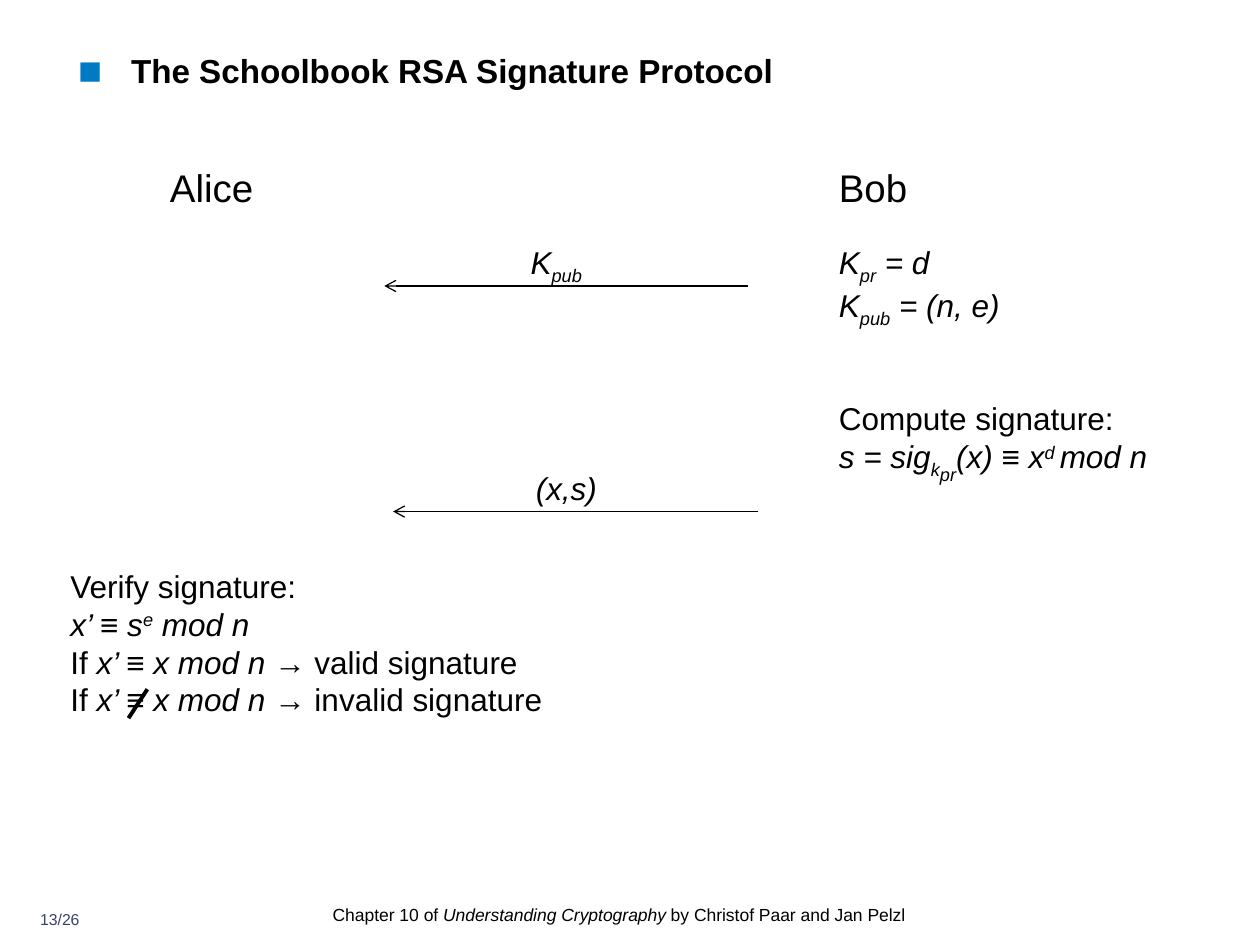
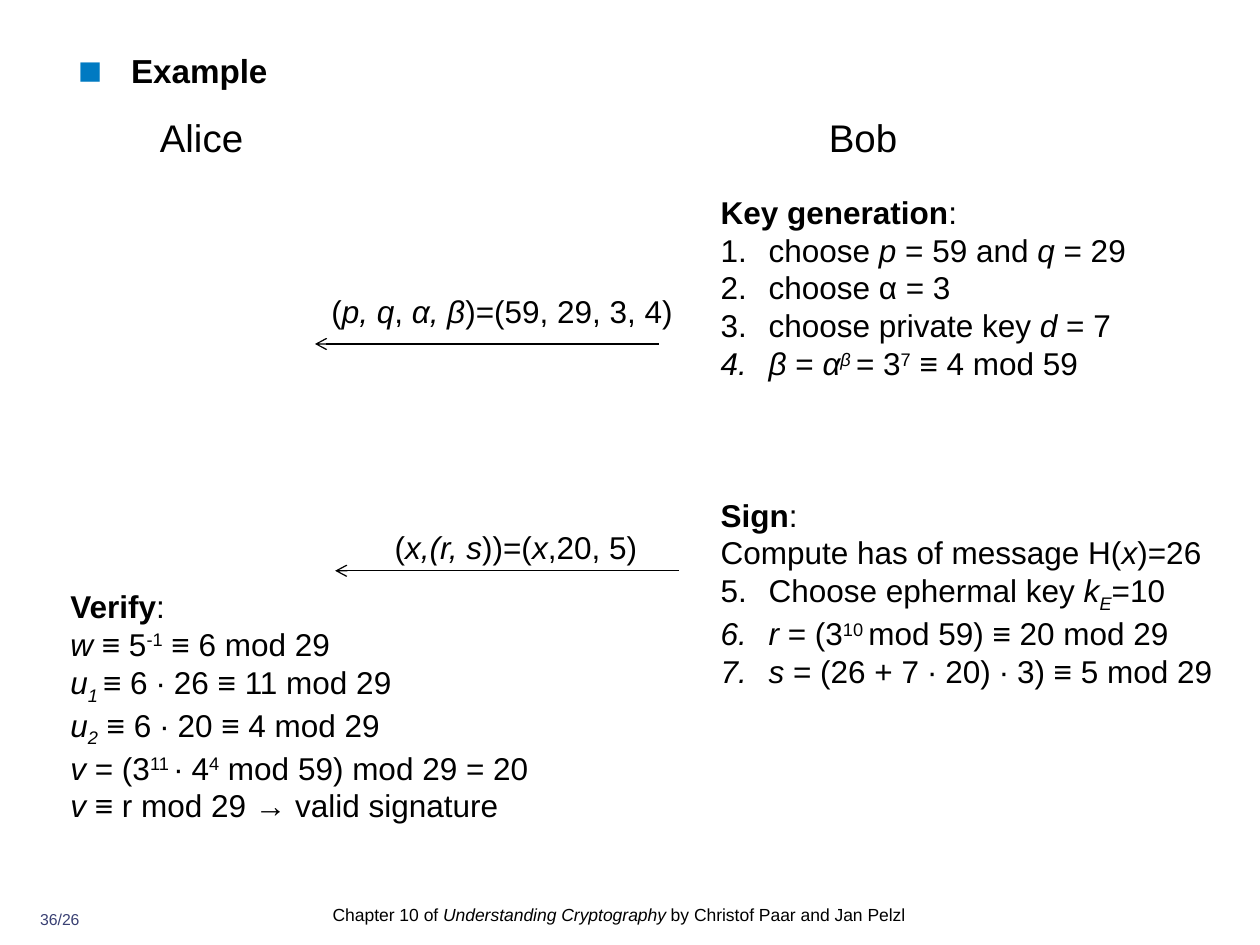
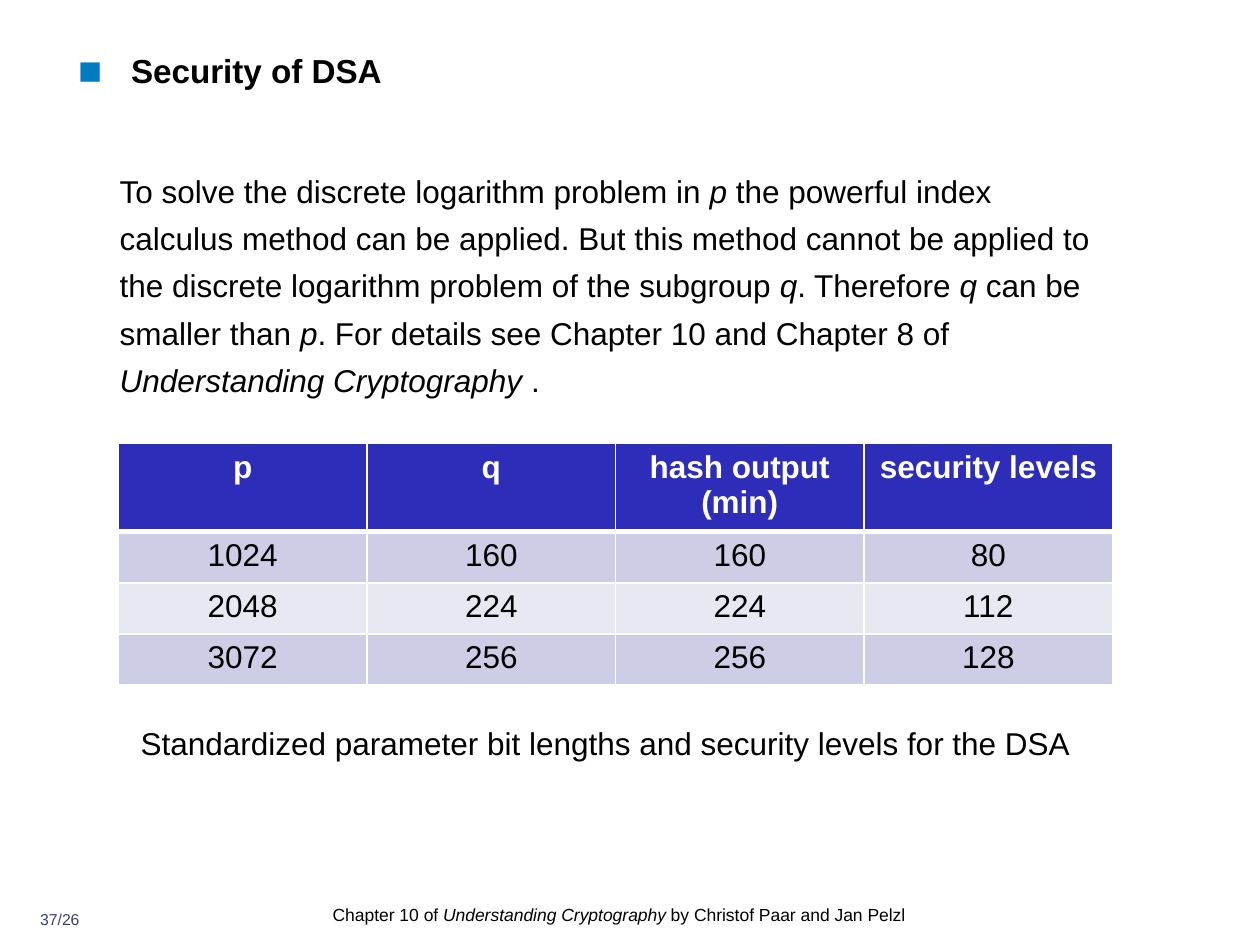
"""Build three slides on RSA and DSA signatures."""
from collections import namedtuple

from lxml.etree import SubElement
from pptx import Presentation
from pptx.dml.color import RGBColor
from pptx.enum.shapes import MSO_CONNECTOR as Connector
from pptx.enum.text import MSO_ANCHOR as Anchor, MSO_AUTO_SIZE as AutoSize, PP_ALIGN as Align
from pptx.oxml.ns import qn
from pptx.util import Inches, Pt

FONT = "Arial"
BLACK, WHITE, ACCENT, PAGE_NUMBER = "000000", "FFFFFF", "007AC2", "394073"
HEADER_FILL, BAND_FILLS = "2D2DB9", ("CDCDE6", "E8E8F3")
BODY, NAME, HEADING, FOOTER, NUMBER = 18, 22, 19, 10, 9
TITLE_ONLY, TITLE_AND_BODY = 5, 1
SUB, SUBSUB, SUP = -25, -40, 30

Span = namedtuple("Span", "text bold italic shift", defaults=(False, False, 0))


def bold(text):
    return Span(text, bold=True)


def it(text, shift=0):
    return Span(text, italic=True, shift=shift)


def sup(text):
    return Span(text, shift=SUP)


def colour(value):
    return RGBColor.from_string(value)


def grid(*units):
    return [Inches(unit / 10) for unit in units]


class Deck:
    """Hold the style and current slide; lengths are grid units of a 100 by 75 page."""

    def __init__(self):
        self.deck = Presentation()
        self.deck.slide_width, self.deck.slide_height = grid(100, 75)

    def new_page(self, layout, title, number):
        self.page = self.deck.slides.add_slide(self.deck.slide_layouts[layout])
        self.text((2, 72.2, 5.5, 2.4), [[number]], NUMBER, PAGE_NUMBER, Align.CENTER, margin=0)
        footer = self.text((26.4, 71.4, 47.3, 2.8), [[
            "Chapter 10 of ", it("Understanding Cryptography"),
            " by Christof Paar and Jan Pelzl"]], FOOTER, margin=0)
        footer.paragraphs[0].line_spacing = 1.2
        frame = self.placeholder(self.page.shapes.title, (5.2, 3.5, 70.7, 5.6),
                                 [[bold(title)]], HEADING)
        self.square_bullet(frame.paragraphs[0])

    def placeholder(self, box, place, paragraphs, size=BODY):
        box.left, box.top, box.width, box.height = grid(*place)
        frame = box.text_frame
        frame.auto_size = AutoSize.NONE
        self.fill_frame(frame, paragraphs, size, BLACK, Align.LEFT)
        return frame

    def body(self, place, paragraphs):
        return self.placeholder(self.page.placeholders[1], place, paragraphs)

    def text(self, place, paragraphs, size=BODY, ink=BLACK, align=Align.LEFT, margin=None):
        frame = self.page.shapes.add_textbox(*grid(*place)).text_frame
        if margin is not None:
            frame.margin_left = frame.margin_right = margin
            frame.margin_top = frame.margin_bottom = margin
        else:
            frame.auto_size = AutoSize.SHAPE_TO_FIT_TEXT
        self.fill_frame(frame, paragraphs, size, ink, align)
        return frame

    def fill_frame(self, frame, paragraphs, size, ink, align):
        frame.word_wrap = True
        frame.vertical_anchor = Anchor.TOP
        for index, spans in enumerate(paragraphs):
            para = frame.add_paragraph() if index else frame.paragraphs[0]
            para.alignment = align
            para.space_before = Pt(0)
            self.indent(para, 0, 0)
            SubElement(para._p.get_or_add_pPr(), qn("a:buNone"))
            self.add_spans(para, spans, size, ink)

    def add_spans(self, para, spans, size, ink):
        for item in spans:
            part = Span(item) if isinstance(item, str) else item
            span = para.add_run()
            span.text = part.text
            font = span.font
            font.name, font.size = FONT, Pt(size)
            font.bold, font.italic = part.bold, part.italic
            font.color.rgb = colour(ink)
            if part.shift:
                span._r.get_or_add_rPr().set("baseline", str(part.shift * 1000))

    def indent(self, para, left, first):
        properties = para._p.get_or_add_pPr()
        for key, length in zip(("marL", "indent"), grid(left, first)):
            properties.set(key, str(length))

    def bullet_base(self, para, hang):
        self.indent(para, hang, -hang)
        properties = para._p.get_or_add_pPr()
        properties.remove(properties.find(qn("a:buNone")))
        return properties

    def square_bullet(self, para):
        properties = self.bullet_base(para, 4.2)
        SubElement(SubElement(properties, qn("a:buClr")), qn("a:srgbClr"), val=ACCENT)
        SubElement(properties, qn("a:buSzPct"), val="120000")
        SubElement(properties, qn("a:buFont"), typeface=FONT)
        SubElement(properties, qn("a:buChar"), char="■")

    def number(self, paragraphs, start):
        for para in paragraphs:
            properties = self.bullet_base(para, 3.8)
            SubElement(properties, qn("a:buFont"), typeface=FONT)
            SubElement(properties, qn("a:buAutoNum"), type="arabicPeriod", startAt=str(start))

    def line(self, start, end, width=0.75, arrow=True):
        line = self.page.shapes.add_connector(Connector.STRAIGHT, *grid(*start, *end))
        line.line.color.rgb = colour(BLACK)
        line.line.width = Pt(width)
        if arrow:
            SubElement(line.line._get_or_add_ln(), qn("a:tailEnd"), type="arrow")
        SubElement(line._element.spPr, qn("a:effectLst"))

    def message(self, place, spans, arrow_from, arrow_to, row):
        self.line((arrow_from, row), (arrow_to, row))
        self.text(place, [spans], align=Align.CENTER)

    def parties(self, left, top):
        self.text((left, top, 10.2, 4.7), [["Alice"]], NAME)
        self.text((left + 53.1, top, 20.3, 4.7), [["Bob"]], NAME)

    def table(self, place, rows, heights):
        shape = self.page.shapes.add_table(len(rows), len(rows[0]), *grid(*place))
        for row_index, (values, height) in enumerate(zip(rows, grid(*heights))):
            shape.table.rows[row_index].height = height
            for column, value in enumerate(values):
                self.cell(shape.table.cell(row_index, column), value, row_index)

    def cell(self, cell, value, row):
        header = row == 0
        para = cell.text_frame.paragraphs[0]
        para.alignment = Align.CENTER
        self.add_spans(para, [Span(value, bold=header)], BODY, WHITE if header else BLACK)
        properties = cell._tc.get_or_add_tcPr()
        for side in "LRTB":
            thick = (row, side) in ((0, "B"), (1, "T"))
            edge = SubElement(properties, qn(f"a:ln{side}"), w=str(Pt(3 if thick else 1)))
            SubElement(SubElement(edge, qn("a:solidFill")), qn("a:srgbClr"), val=WHITE)
        cell.fill.solid()
        cell.fill.fore_color.rgb = colour(HEADER_FILL if header else BAND_FILLS[(row - 1) % 2])


def rsa_protocol(deck):
    deck.new_page(TITLE_ONLY, "The Schoolbook RSA Signature Protocol", "13/26")
    deck.parties(12.5, 12.5)
    public_key = [it("K"), it("pub", SUB)]
    deck.message((34.4, 18.8, 19.5, 4), public_key, 59.4, 30.5, 22.7)
    deck.message((35.2, 36.7, 19.5, 4), [it("(x,s)")], 60.2, 31.2, 40.6)
    deck.text((65.6, 18.8, 26.6, 7.1), [
        [it("K"), it("pr", SUB), it(" = d")],
        public_key + [it(" = (n, e)")]])
    deck.text((65.6, 31.2, 27.3, 7.1), [
        ["Compute signature:"],
        [it("s = sig"), it("k", SUB), it("pr", SUBSUB), it("(x) ≡ x"), it("d ", SUP),
         it("mod n")]])
    deck.text((4.6, 44.5, 57.8, 13.1), [
        ["Verify signature:"],
        [it("x’ ≡ s"), it("e", SUP), it(" mod n")],
        *(["If ", it("x’ ≡ x mod n "), f"→ {result} signature"]
          for result in ("valid", "invalid"))])
    deck.line((11.7, 54.7), (10.2, 57), width=2.25, arrow=False)


def dsa_example(deck):
    deck.new_page(TITLE_AND_BODY, "Example", "36/26")
    deck.parties(11.7, 8.6)
    deck.message((25, 22.7, 29.7, 4),
                 ["(", it("p, q"), ", ", it("α, β"), ")=(59, 29, 3, 4)"], 52.3, 25, 27.3)
    deck.message((27.3, 41.4, 27.3, 4),
                 ["(", it("x,(r, s"), "))=(", it("x"), ",20, 5)"], 53.9, 26.6, 45.3)
    frame = deck.body((56.2, 14.8, 41.4, 40.4), [
        [bold("Key generation"), ":"],
        ["choose ", it("p"), " = 59 and ", it("q"), " = 29"],
        ["choose α = 3"],
        ["choose private key ", it("d"), " = 7"],
        [it("β"), " = ", it("α"), it("β ", SUP), "= 3", sup("7"), " ≡ 4 mod 59"],
        [bold("Sign"), ":"],
        ["Compute has of message H(", it("x"), ")=26"],
        ["Choose ephermal key ", it("k"), it("E", SUB), "=10"],
        [it("r"), " = (3", sup("10 "), "mod 59) ≡ 20 mod 29"],
        [it("s"), " = (26 + 7 ∙ 20) ∙ 3) ≡ 5 mod 29"]])
    deck.number(frame.paragraphs[1:5], 1)
    deck.number(frame.paragraphs[7:], 5)
    frame.paragraphs[5].space_before = Pt(65)
    deck.text((4.6, 46.1, 46.1, 19.2), [
        [bold("Verify"), ":"],
        [it("w"), " ≡ 5", sup("-1"), " ≡ 6 mod 29"],
        [it("u"), it("1 ", SUB), "≡ 6 ∙ 26 ≡ 11 mod 29"],
        [it("u"), it("2", SUB), " ≡ 6 ∙ 20 ≡ 4 mod 29"],
        [it("v"), " = (3", sup("11 "), "∙ 4", sup("4"), " mod 59) mod 29 = 20"],
        [it("v"), " ≡ r mod 29 → valid signature"]])


def dsa_security(deck):
    deck.new_page(TITLE_AND_BODY, "Security of DSA", "37/26")
    frame = deck.body((5.2, 12.4, 83.1, 54.8), [[
        "To solve the discrete logarithm problem in ", it("p"),
        " the powerful index calculus method can be applied. But this method cannot be "
        "applied to the discrete logarithm problem of the subgroup ", it("q"),
        ". Therefore ", it("q"), " can be smaller than ", it("p"),
        ". For details see Chapter 10 and Chapter 8 of ",
        it("Understanding Cryptography"), " ."]])
    deck.indent(frame.paragraphs[0], 3.3, 0)
    frame.paragraphs[0].line_spacing = 1.25
    deck.table((9.4, 35.2, 78.9, 19.2), [
        ("p", "q", "hash output (min)", "security levels"),
        ("1024", "160", "160", "80"),
        ("2048", "224", "224", "112"),
        ("3072", "256", "256", "128")], (7, 4.05, 4.05, 4.05))
    deck.text((7.8, 57, 80.5, 4),
              [["Standardized parameter bit lengths and security levels for the DSA"]],
              align=Align.CENTER)


def main():
    deck = Deck()
    for build in (rsa_protocol, dsa_example, dsa_security):
        build(deck)
    deck.deck.save("out.pptx")


if __name__ == "__main__":
    main()
